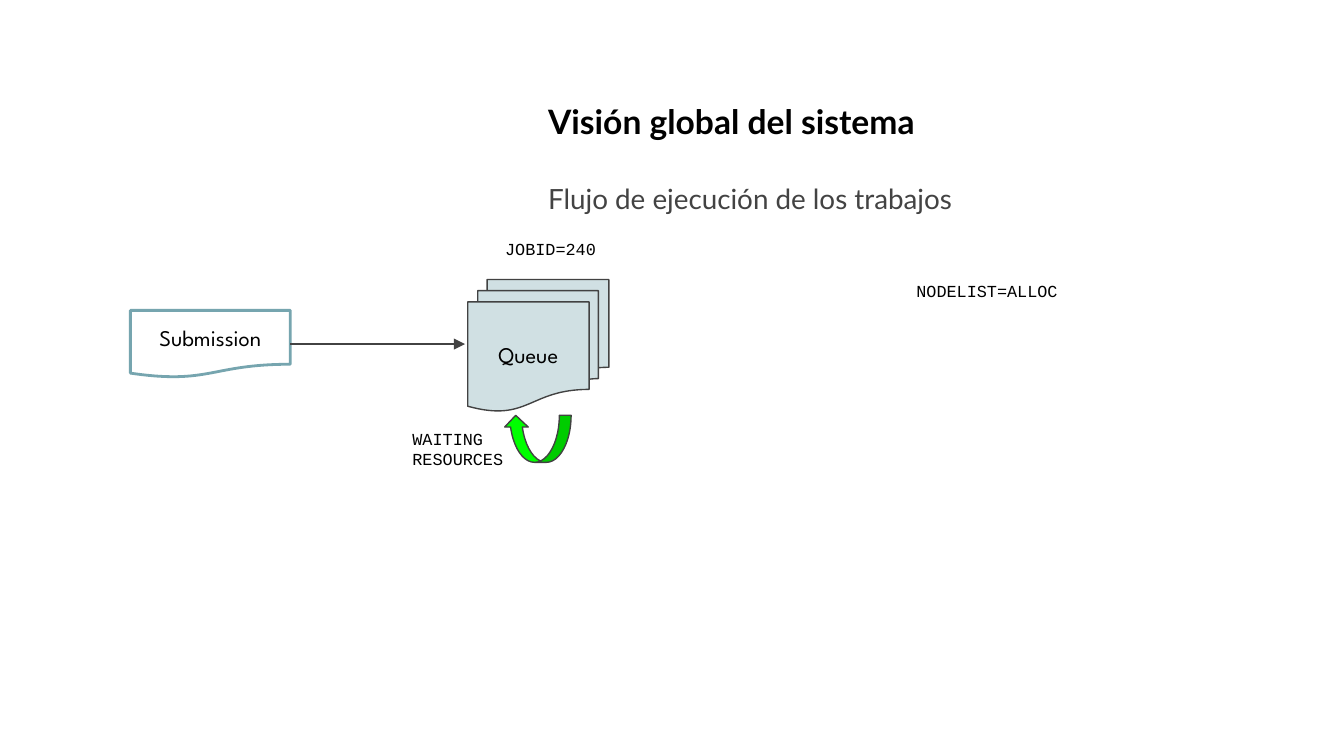
from dataclasses import dataclass

from lxml import etree
from pptx import Presentation
from pptx.dml.color import RGBColor
from pptx.enum.shapes import MSO_CONNECTOR, MSO_SHAPE
from pptx.enum.text import MSO_ANCHOR, MSO_AUTO_SIZE, PP_ALIGN
from pptx.oxml.ns import qn
from pptx.slide import Slide
from pptx.util import Inches, Pt

DOCUMENT = MSO_SHAPE.FLOWCHART_DOCUMENT
MULTIDOCUMENT = MSO_SHAPE.FLOWCHART_MULTIDOCUMENT
CURVED_ARROW = MSO_SHAPE.CURVED_UP_ARROW
STRAIGHT = MSO_CONNECTOR.STRAIGHT
CENTER = PP_ALIGN.CENTER
TOP, MIDDLE = MSO_ANCHOR.TOP, MSO_ANCHOR.MIDDLE
FIT_SHAPE = MSO_AUTO_SIZE.SHAPE_TO_FIT_TEXT
RIGHT_SIDE = 3

COLORS = {
    "text": "000000",
    "subtitle": "434343",
    "outline": "424242",
    "queue": "D0E0E3",
    "submission": "76A5AF",
    "waiting": "00FF00",
}


@dataclass
class FlowSlide:
    """Style and drawing methods for the job flow slide."""

    slide: Slide
    title_font: str = "Lato"
    node_font: str = "League Spartan"
    code_font: str = "Courier New"

    def color(self, name):
        return RGBColor.from_string(COLORS[name])

    def add_run(self, paragraph, text, font, size, color="text", bold=False):
        run = paragraph.add_run()
        run.text = text
        run.font.name = font
        run.font.size = Pt(size)
        run.font.bold = bold
        run.font.color.rgb = self.color(color)

    def prepare_frame(self, shape, anchor):
        frame = shape.text_frame
        frame.word_wrap = True
        frame.vertical_anchor = anchor
        frame.margin_left = frame.margin_right = Inches(0.1)
        frame.margin_top = frame.margin_bottom = Inches(0.1)
        return frame

    def add_box(self, left, top, width, height):
        box = self.slide.shapes.add_textbox(
            Inches(left), Inches(top), Inches(width), Inches(height))
        return self.prepare_frame(box, TOP)

    def add_heading(self, title, subtitle):
        frame = self.add_box(3.98, 0.65, 5.14, 1.09)
        self.add_run(frame.paragraphs[0], title, self.title_font, 18, bold=True)
        paragraph = frame.add_paragraph()
        paragraph.space_before = Pt(21.6)
        self.add_run(paragraph, subtitle, self.title_font, 14.9, "subtitle")

    def add_label(self, lines, left, top, width, height):
        frame = self.add_box(left, top, width, height)
        frame.auto_size = FIT_SHAPE
        for index, line in enumerate(lines):
            paragraph = frame.add_paragraph() if index else frame.paragraphs[0]
            self.add_run(paragraph, line, self.code_font, 9)

    def add_shape(self, kind, left, top, width, height, fill=None,
                  line="outline", line_width=0.75):
        shape = self.slide.shapes.add_shape(
            kind, Inches(left), Inches(top), Inches(width), Inches(height))
        shape.shadow.inherit = False
        if fill:
            shape.fill.solid()
            shape.fill.fore_color.rgb = self.color(fill)
        else:
            shape.fill.background()
        shape.line.color.rgb = self.color(line)
        shape.line.width = Pt(line_width)
        return shape

    def add_node(self, text, *geometry, **style):
        shape = self.add_shape(*geometry, **style)
        paragraph = self.prepare_frame(shape, MIDDLE).paragraphs[0]
        paragraph.alignment = CENTER
        self.add_run(paragraph, text, self.node_font, 12)
        return shape

    def add_loop_arrow(self, left, top, width, height):
        shape = self.add_shape(CURVED_ARROW, left, top, width, height, "waiting")
        shape.element.spPr.get_or_add_xfrm().set("flipH", "1")

    def add_arrow(self, source, end_x, y):
        arrow = self.slide.shapes.add_connector(
            STRAIGHT, source.left + source.width, Inches(y), Inches(end_x), Inches(y))
        arrow.begin_connect(source, RIGHT_SIDE)
        arrow.line.color.rgb = self.color("outline")
        arrow.line.width = Pt(0.75)
        properties = arrow.element.spPr
        etree.SubElement(properties.find(qn("a:ln")), qn("a:tailEnd"), type="triangle")
        etree.SubElement(properties, qn("a:effectLst"))


def main():
    presentation = Presentation()
    presentation.slide_width = Inches(10)
    presentation.slide_height = presentation.slide_width * 9 // 16
    flow = FlowSlide(presentation.slides.add_slide(presentation.slide_layouts[6]))

    flow.add_heading("Visión global del sistema", "Flujo de ejecución de los trabajos")
    flow.add_node("Queue", MULTIDOCUMENT, 3.48, 2.08, 1.05, 0.98, fill="queue")
    flow.add_label(["JOBID=240"], 3.66, 1.7, 0.95, 0.35)
    flow.add_loop_arrow(3.75, 3.09, 0.5, 0.35)
    flow.add_label(["WAITING", "RESOURCES"], 2.97, 3.09, 0.95, 0.5)
    flow.add_label(["NODELIST=ALLOC"], 6.72, 2.01, 1.5, 0.35)
    submission = flow.add_node("Submission", DOCUMENT, 0.97, 2.31, 1.19, 0.5,
                               line="submission", line_width=1.5)
    flow.add_arrow(submission, 3.46, 2.56)

    presentation.save("out.pptx")


if __name__ == "__main__":
    main()
